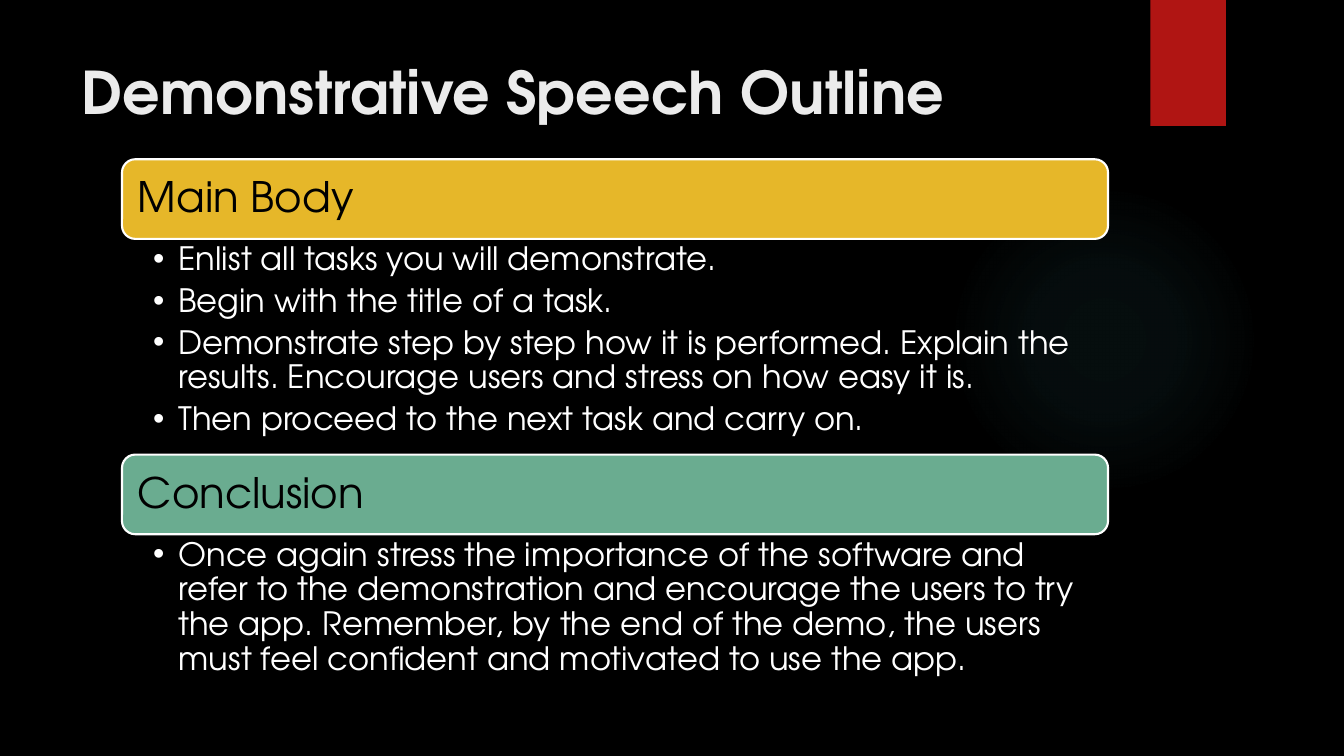
from lxml import etree
from pptx import Presentation
from pptx.dml.color import RGBColor
from pptx.enum.shapes import MSO_SHAPE
from pptx.enum.text import MSO_ANCHOR, MSO_AUTO_SIZE, PP_ALIGN
from pptx.oxml import parse_xml
from pptx.oxml.ns import nsdecls, qn
from pptx.util import Inches, Pt

ROUNDED, RECTANGLE, OVAL = MSO_SHAPE.ROUNDED_RECTANGLE, MSO_SHAPE.RECTANGLE, MSO_SHAPE.OVAL
TOP, MIDDLE, LEFT = MSO_ANCHOR.TOP, MSO_ANCHOR.MIDDLE, PP_ALIGN.LEFT
NO_AUTOFIT = MSO_AUTO_SIZE.NONE

BLACK = RGBColor(0x00, 0x00, 0x00)
WHITE = RGBColor(0xFF, 0xFF, 0xFF)
PALE = RGBColor(0xEB, 0xEB, 0xEB)
RED = RGBColor(0xB0, 0x15, 0x13)
YELLOW = RGBColor(0xE6, 0xB7, 0x29)
GREEN = RGBColor(0x6A, 0xAC, 0x90)
TEAL = RGBColor(0x50, 0xB9, 0xC1)
FONT = "TeX Gyre Adventor"

# Outline column: each section is a heading bar with its points below
COLUMN_LEFT, COLUMN_WIDTH = Inches(1.21), Inches(9.78)
BAR_HEIGHT = Inches(0.79)
SECTIONS = [
    ("Main Body", YELLOW, 1.58, 2.14, [
        "Enlist all tasks you will demonstrate.",
        "Begin with the title of a task.",
        "Demonstrate step by step how it is performed. Explain the results. "
        "Encourage users and stress on how easy it is.",
        "Then proceed to the next task and carry on.",
    ]),
    ("Conclusion", GREEN, 4.51, 1.49, [
        "Once again stress the importance of the software and refer to the "
        "demonstration and encourage the users to try the app. Remember, by the "
        "end of the demo, the users must feel confident and motivated to use the app.",
    ]),
]


def place(part, left, top, width, height):
    part.left, part.top, part.width, part.height = left, top, width, height


def style_text(frame, size, color, anchor, insets, bold=False):
    frame.word_wrap = True
    frame.auto_size = NO_AUTOFIT
    frame.vertical_anchor = anchor
    frame.margin_left, frame.margin_top, frame.margin_right, frame.margin_bottom = (
        Inches(inset) for inset in insets)
    for paragraph in frame.paragraphs:
        paragraph.alignment = LEFT
        for run in paragraph.runs:
            run.font.name, run.font.size, run.font.bold = FONT, Pt(size), bold
            run.font.color.rgb = color


prs = Presentation()
prs.slide_width, prs.slide_height = Inches(13.33), Inches(7.5)
slide = prs.slides.add_slide(prs.slide_layouts.get_by_name("Two Content"))
slide.background.fill.solid()
slide.background.fill.fore_color.rgb = BLACK

# Title
title = slide.shapes.title
place(title, Inches(0.71), Inches(0.5), Inches(10.29), Inches(1.53))
title.text_frame.text = "Demonstrative Speech Outline"
style_text(title.text_frame, 42, PALE, TOP, (0.1, 0.05, 0.1, 0.05), bold=True)

# Faint round glow behind the text
glow = slide.shapes.add_shape(OVAL, Inches(9.41), Inches(1.83), Inches(3.08), Inches(3.08))
glow.shadow.inherit = False
glow.line.fill.background()
stops = "".join(
    f'<a:gs pos="{position * 1000}"><a:srgbClr val="{TEAL}">'
    f'<a:alpha val="{opacity * 1000}"/></a:srgbClr></a:gs>'
    for position, opacity in [(0, 7), (36, 6), (69, 0)])
gradient = parse_xml(
    f'<a:gradFill {nsdecls("a")}><a:gsLst>{stops}</a:gsLst><a:path path="circle">'
    '<a:fillToRect l="50000" t="50000" r="50000" b="50000"/></a:path></a:gradFill>')
glow.element.spPr.find(qn("a:prstGeom")).addnext(gradient)
title.element.addprevious(glow.element)

# Red ribbon at the top edge
ribbon = slide.shapes.add_shape(RECTANGLE, Inches(11.41), 0, Inches(0.75), Inches(1.25))
ribbon.shadow.inherit = False
ribbon.fill.solid()
ribbon.fill.fore_color.rgb = RED
ribbon.line.fill.background()

# Sections
bodies = list(slide.placeholders)[1:]
for body, (heading, color, top, points_height, points) in zip(bodies, SECTIONS):
    bar = slide.shapes.add_shape(ROUNDED, COLUMN_LEFT, Inches(top), COLUMN_WIDTH, BAR_HEIGHT)
    bar.shadow.inherit = False
    bar.fill.solid()
    bar.fill.fore_color.rgb = color
    bar.line.color.rgb = WHITE
    bar.line.width = Pt(1.5)
    bar.text_frame.text = heading
    bar.text_frame.paragraphs[0].line_spacing = 0.9
    style_text(bar.text_frame, 30, BLACK, MIDDLE, (0.12, 0.12, 0.12, 0.12))

    place(body, COLUMN_LEFT, Inches(top) + BAR_HEIGHT, COLUMN_WIDTH, Inches(points_height))
    body.text_frame.text = "\n".join(points)
    for point in body.text_frame.paragraphs:
        properties = point._p.get_or_add_pPr()
        properties.set("marL", str(Inches(0.25)))
        properties.set("indent", str(-Inches(0.25)))
        etree.SubElement(properties, qn("a:buChar")).set("char", "•")
        point.line_spacing = 0.9
        point.space_before = Pt(0)
        point.space_after = Pt(4.9)
    style_text(body.text_frame, 23, WHITE, TOP, (0.31, 0.04, 0.23, 0.04))

prs.save("out.pptx")
